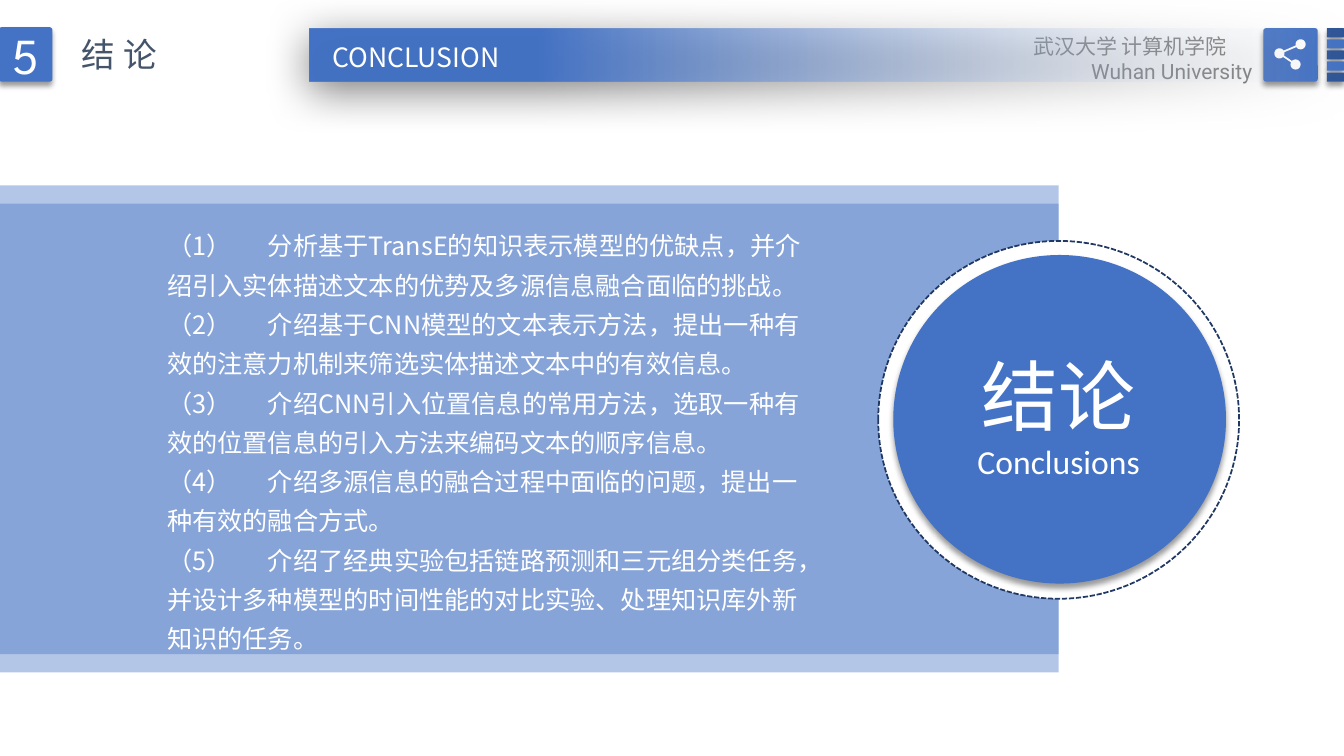
import math

from lxml import etree
from pptx import Presentation
from pptx.dml.color import RGBColor
from pptx.enum.dml import MSO_LINE
from pptx.enum.shapes import MSO_SHAPE
from pptx.enum.text import MSO_ANCHOR, PP_ALIGN
from pptx.oxml.ns import qn
from pptx.util import Inches, Pt

RECT, ROUNDED, OVAL = MSO_SHAPE.RECTANGLE, MSO_SHAPE.ROUNDED_RECTANGLE, MSO_SHAPE.OVAL
LEFT, CENTER, RIGHT = PP_ALIGN.LEFT, PP_ALIGN.CENTER, PP_ALIGN.RIGHT
TOP, MIDDLE = MSO_ANCHOR.TOP, MSO_ANCHOR.MIDDLE
DASH = MSO_LINE.SQUARE_DOT

BLUE, DARK_BLUE, NAVY = "4472C4", "2F5597", "203864"
WHITE, PALE, GRAY, SLATE = "FFFFFF", "F7FAFD", "808080", "44546A"
NOTO = "Noto Sans CJK SC"
SOFT_SHADOW = (40, 4, 3, 90)
WIDE_SHADOW = (50, 31, 6, 97)

CONCLUSIONS = [
    "分析基于TransE的知识表示模型的优缺点，并介绍引入实体描述文本的优势及多源信息融合面临的挑战。",
    "介绍基于CNN模型的文本表示方法，提出一种有效的注意力机制来筛选实体描述文本中的有效信息。",
    "介绍CNN引入位置信息的常用方法，选取一种有效的位置信息的引入方法来编码文本的顺序信息。",
    "介绍多源信息的融合过程中面临的问题，提出一种有效的融合方式。",
    "介绍了经典实验包括链路预测和三元组分类任务，并设计多种模型的时间性能的对比实验、处理知识库外新知识的任务。",
]


def rgb(color):
    return RGBColor.from_string(color)


def set_alpha(shape, percent):
    """Make the first fill colour of the shape translucent."""
    color = shape.element.xpath(".//p:spPr//a:srgbClr")[0]
    etree.SubElement(color, qn("a:alpha")).set("val", str(percent * 1000))


def add_shadow(shape, alpha, blur, distance, angle):
    effects = shape.element.xpath("./p:spPr/a:effectLst")[0]
    outer = etree.SubElement(effects, qn("a:outerShdw"), blurRad=str(Pt(blur)),
                             dist=str(Pt(distance)), dir=str(angle * 60000),
                             algn="ctr", rotWithShape="0")
    color = etree.SubElement(outer, qn("a:srgbClr"), val="000000")
    etree.SubElement(color, qn("a:alpha"), val=str(alpha * 1000))


def add_figure(slide, kind, box, color, radius=0.05, shadow=None):
    figure = slide.shapes.add_shape(kind, *map(Inches, box))
    if kind == ROUNDED:
        figure.adjustments[0] = radius
    figure.fill.solid()
    figure.fill.fore_color.rgb = rgb(color)
    figure.line.fill.background()
    figure.shadow.inherit = False
    if shadow:
        add_shadow(figure, *shadow)
    return figure


def set_frame(shape, inset=True, wrap=True, anchor=TOP):
    frame = shape.text_frame
    frame.word_wrap = wrap
    frame.vertical_anchor = anchor
    frame.margin_left = frame.margin_right = Inches(0.1 if inset else 0)
    frame.margin_top = frame.margin_bottom = Inches(0.05 if inset else 0)
    return frame


def write(paragraph, text, size, color, font=NOTO, align=LEFT, spacing=None):
    paragraph.alignment = align
    run = paragraph.add_run()
    run.text = text
    run.font.size = Pt(size)
    run.font.name = font
    run.font.color.rgb = rgb(color)
    properties = run.font._element
    etree.SubElement(properties, qn("a:ea"), typeface=font)
    if spacing:
        properties.set("spc", str(spacing * 100))


def add_text(slide, box, inset=True, wrap=True):
    return set_frame(slide.shapes.add_textbox(*map(Inches, box)), inset, wrap)


def add_share_icon(slide):
    """Three nodes joined by two links, traced as one clockwise outline."""
    top, left, bottom = (12.9, 0.44), (12.69, 0.53), (12.85, 0.64)
    radius, gap = 0.05, 10

    def bearing(start, end):
        return math.degrees(math.atan2(end[1] - start[1], end[0] - start[0]))

    def arc(center, start, end, steps=24):
        angles = [math.radians(start + (end - start) * i / steps) for i in range(steps + 1)]
        return [(center[0] + radius * math.cos(a), center[1] + radius * math.sin(a))
                for a in angles]

    to_top, to_bottom = bearing(left, top), bearing(left, bottom)
    outline = (arc(top, to_top + 180 + gap, to_top + 540 - gap)
               + arc(left, to_top + gap, to_bottom - gap)
               + arc(bottom, to_bottom + 180 + gap, to_bottom + 540 - gap)
               + arc(left, to_bottom + gap, to_top + 360 - gap))
    points = [(Inches(x), Inches(y)) for x, y in outline]
    builder = slide.shapes.build_freeform(*points[0])
    builder.add_line_segments(points[1:], close=True)
    icon = builder.convert_to_shape()
    icon.fill.solid()
    icon.fill.fore_color.rgb = rgb(WHITE)
    icon.line.fill.background()
    icon.shadow.inherit = False


def add_corner(slide):
    for row in range(5):
        add_figure(slide, ROUNDED, (13.16, 0.28 + 0.11 * row, 0.17, 0.09),
                   BLUE if row % 2 else DARK_BLUE, shadow=SOFT_SHADOW)
    add_figure(slide, ROUNDED, (12.53, 0.28, 0.54, 0.53), BLUE, shadow=SOFT_SHADOW)
    add_share_icon(slide)
    school = add_text(slide, (10.15, 0.28, 2.37, 0.63))
    write(school.paragraphs[0], "武汉大学 计算机学院", 15, GRAY)
    write(school.add_paragraph(), "Wuhan University", 15, GRAY, "Roboto", RIGHT)


def add_panel(slide):
    for top in (2.02, 1.84):
        band = add_figure(slide, ROUNDED, (0, top, 10.5, 4.65), BLUE, radius=0)
        set_alpha(band, 40)


def add_badge(slide):
    ring = add_figure(slide, OVAL, (8.71, 2.39, 3.58, 3.55), WHITE)
    ring.line.color.rgb = rgb(NAVY)
    ring.line.width = Pt(1.25)
    ring.line.dash_style = DASH
    add_figure(slide, OVAL, (8.86, 2.53, 3.3, 3.26), BLUE, shadow=SOFT_SHADOW)
    label = add_text(slide, (9.48, 3.46, 2.04, 1.43), inset=False)
    write(label.paragraphs[0], "结论", 55, WHITE, align=CENTER)
    write(label.add_paragraph(), "Conclusions", 24, WHITE, "Calibri", CENTER)


def add_conclusions(slide):
    body = add_text(slide, (1.56, 2.15, 6.67, 4.39))
    for number, conclusion in enumerate(CONCLUSIONS, 1):
        paragraph = body.paragraphs[0] if number == 1 else body.add_paragraph()
        paragraph.line_spacing = 1.3
        write(paragraph, f"（{number}）\t{conclusion}", 18, WHITE)


def add_header(slide):
    bar = add_figure(slide, RECT, (3.07, 0.28, 10.26, 0.53), BLUE, shadow=WIDE_SHADOW)
    bar.fill.gradient()
    bar.fill.gradient_angle = 180
    for stop, position, color in zip(bar.fill.gradient_stops, (0, 0.78), (PALE, BLUE)):
        stop.position = position
        stop.color.rgb = rgb(color)
    set_alpha(bar, 0)

    section = add_figure(slide, ROUNDED, (-0.01, 0.27, 0.53, 0.54), BLUE, shadow=SOFT_SHADOW)
    write(set_frame(section, anchor=MIDDLE).paragraphs[0], "5", 36, WHITE,
          "League Spartan", CENTER)
    title = add_text(slide, (0.71, 0.29, 1.04, 0.5), wrap=False)
    write(title.paragraphs[0], "结论", 24, SLATE, spacing=6)
    subtitle = add_text(slide, (3.13, 0.36, 1.99, 0.42), wrap=False)
    write(subtitle.paragraphs[0], "CONCLUSION", 19, WHITE, align=CENTER)


def main():
    deck = Presentation()
    deck.slide_width, deck.slide_height = Inches(13.33), Inches(7.5)
    slide = deck.slides.add_slide(deck.slide_layouts[6])
    add_corner(slide)
    add_panel(slide)
    add_badge(slide)
    add_conclusions(slide)
    add_header(slide)
    deck.save("out.pptx")


if __name__ == "__main__":
    main()
